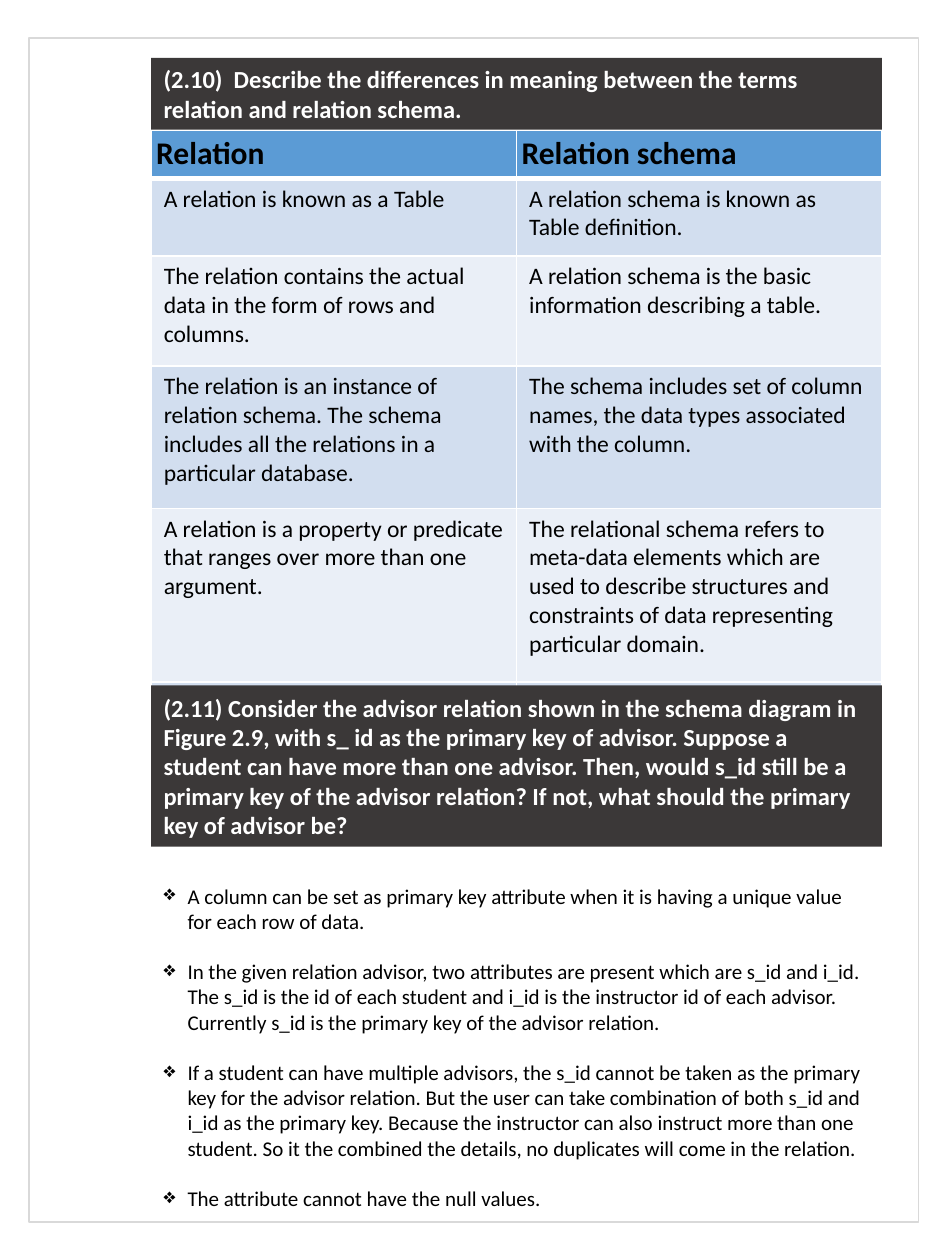
"""Build a study sheet page on relations, relation schemas and primary keys."""
from dataclasses import dataclass

from lxml import etree
from pptx import Presentation
from pptx.dml.color import RGBColor
from pptx.enum.shapes import MSO_SHAPE
from pptx.enum.text import MSO_ANCHOR, PP_ALIGN
from pptx.oxml.ns import qn
from pptx.slide import Slide
from pptx.table import _Cell
from pptx.text.text import _Paragraph
from pptx.util import Inches, Length, Pt

RECTANGLE = MSO_SHAPE.RECTANGLE
MIDDLE, TOP = MSO_ANCHOR.MIDDLE, MSO_ANCHOR.TOP
LEFT = PP_ALIGN.LEFT

WHITE = RGBColor(0xFF, 0xFF, 0xFF)
BLACK = RGBColor(0x00, 0x00, 0x00)
FRAME_GREY = RGBColor(0xD9, 0xD9, 0xD9)
BANNER_GREY = RGBColor(0x3B, 0x38, 0x38)
HEADER_BLUE = RGBColor(0x5B, 0x9B, 0xD5)
BAND_COLORS = (RGBColor(0xD2, 0xDE, 0xEF), RGBColor(0xEA, 0xEF, 0xF7))

FONT = "Calibri"
SLIDE_WIDTH, SLIDE_HEIGHT = Inches(7.5), Inches(10)
GRID_COLUMNS, GRID_ROWS = 75, 100
CONTENT_LEFT, CONTENT_WIDTH = 12, 58
BULLET_INDENT = Inches(0.19)
HEADER_MARGIN = Inches(0.04)


@dataclass(frozen=True)
class Area:
    """A rectangle measured in grid columns and rows."""

    column: float
    row: float
    columns: float
    rows: float

    def box(self) -> tuple[Length, Length, Length, Length]:
        """Return left, top, width and height on the slide."""
        return across(self.column), down(self.row), across(self.columns), down(self.rows)


@dataclass(frozen=True)
class Question:
    """A question shown on a dark banner."""

    text: str
    row: float
    rows: float


@dataclass(frozen=True)
class Comparison:
    """One table row that sets a relation against its schema."""

    relation: str = ""
    schema: str = ""
    rows: float = 3.7


QUESTIONS = (
    Question("(2.10)  Describe the differences in meaning between the terms "
             "relation and relation schema.", 4.6, 5.7),
    Question("(2.11) Consider the advisor relation shown in the schema diagram in Figure 2.9, "
             "with s_ id as the primary key of advisor. Suppose a student can have more than "
             "one advisor. Then, would s_id still be a primary key of the advisor relation? "
             "If not, what should the primary key of advisor be?", 54.4, 12.8),
)
COMPARISONS = (
    Comparison("Relation", "Relation schema", 3.8),
    Comparison("A relation is known as a Table",
               "A relation schema is known as Table definition.", 6.15),
    Comparison("The relation contains the actual data in the form of rows and columns.",
               "A relation schema is the basic information describing a table.", 8.75),
    Comparison("The relation is an instance of relation schema. The schema includes all "
               "the relations in a particular database.",
               "The schema includes set of column names, the data types associated "
               "with the column.", 11.3),
    Comparison("A relation is a property or predicate that ranges over more than one argument.",
               "The relational schema refers to meta-data elements which are used to describe "
               "structures and constraints of data representing particular domain.", 13.8),
    *[Comparison()] * 3,
)
ANSWERS = (
    "A column can be set as primary key attribute when it is having a unique value "
    "for each row of data.",
    "In the given relation advisor, two attributes are present which are s_id and i_id. "
    "The s_id is the id of each student and i_id is the instructor id of each advisor. "
    "Currently s_id is the primary key of the advisor relation.",
    "If a student can have multiple advisors, the s_id cannot be taken as the primary key "
    "for the advisor relation. But the user can take combination of both s_id and i_id as "
    "the primary key. Because the instructor can also instruct more than one student. "
    "So it the combined the details, no duplicates will come in the relation.",
    "The attribute cannot have the null values.",
)


def across(columns: float) -> Length:
    """Convert grid columns to a length."""
    return Length(round(SLIDE_WIDTH * columns / GRID_COLUMNS))


def down(rows: float) -> Length:
    """Convert grid rows to a length."""
    return Length(round(SLIDE_HEIGHT * rows / GRID_ROWS))


def add_run(paragraph: _Paragraph, text: str, size: float, color: RGBColor, bold: bool) -> None:
    """Add one left-aligned run of text."""
    paragraph.alignment = LEFT
    run = paragraph.add_run()
    run.text = text
    run.font.name, run.font.size, run.font.bold = FONT, Pt(size), bold
    run.font.color.rgb = color


def add_frame(slide: Slide, area: Area) -> None:
    """Draw the thin page border."""
    frame = slide.shapes.add_shape(RECTANGLE, *area.box())
    frame.shadow.inherit = False
    frame.fill.background()
    frame.line.color.rgb, frame.line.width = FRAME_GREY, Pt(1)


def add_banner(slide: Slide, question: Question) -> None:
    """Draw a question on its banner."""
    area = Area(CONTENT_LEFT, question.row, CONTENT_WIDTH, question.rows)
    banner = slide.shapes.add_shape(RECTANGLE, *area.box())
    banner.shadow.inherit = False
    banner.fill.solid()
    banner.fill.fore_color.rgb = BANNER_GREY
    banner.line.fill.background()
    banner.text_frame.word_wrap = True
    banner.text_frame.vertical_anchor = MIDDLE
    add_run(banner.text_frame.paragraphs[0], question.text, 14, WHITE, True)


def set_borders(cell: _Cell, bottom_width: float) -> None:
    """Give a cell white borders."""
    properties = cell._tc.get_or_add_tcPr()
    widths = {"a:lnL": 1, "a:lnR": 1, "a:lnT": 1, "a:lnB": bottom_width}
    for position, (side, width) in enumerate(widths.items()):
        border = etree.Element(qn(side), w=str(Pt(width)))
        fill = etree.SubElement(border, qn("a:solidFill"))
        etree.SubElement(fill, qn("a:srgbClr"), val=str(WHITE))
        properties.insert(position, border)


def fill_cell(cell: _Cell, text: str, row: int) -> None:
    """Write and style one cell of the comparison."""
    header = row == 0
    cell.fill.solid()
    cell.fill.fore_color.rgb = HEADER_BLUE if header else BAND_COLORS[(row - 1) % 2]
    cell.vertical_anchor = MIDDLE if header else TOP
    if header:
        cell.margin_left = cell.margin_right = HEADER_MARGIN
        cell.margin_top = cell.margin_bottom = HEADER_MARGIN
    set_borders(cell, 3 if header else 1)
    if text:
        add_run(cell.text_frame.paragraphs[0], text, 18 if header else 13.5, BLACK, header)


def add_comparison_table(slide: Slide, row: float) -> None:
    """Draw the table of relation against relation schema."""
    height = sum(comparison.rows for comparison in COMPARISONS)
    area = Area(CONTENT_LEFT, row, CONTENT_WIDTH, height)
    table = slide.shapes.add_table(len(COMPARISONS), 2, *area.box()).table
    for index, comparison in enumerate(COMPARISONS):
        table.rows[index].height = down(comparison.rows)
        for column, text in enumerate((comparison.relation, comparison.schema)):
            fill_cell(table.cell(index, column), text, index)


def add_answers(slide: Slide, area: Area) -> None:
    """Write the bulleted answer."""
    text_frame = slide.shapes.add_textbox(*area.box()).text_frame
    text_frame.word_wrap = True
    for index, answer in enumerate(ANSWERS):
        paragraph = text_frame.add_paragraph() if index else text_frame.paragraphs[0]
        add_run(paragraph, answer, 12, BLACK, False)
        paragraph.space_before = Pt(14.4 if index else 0)
        properties = paragraph._p.get_or_add_pPr()
        properties.set("marL", str(BULLET_INDENT))
        properties.set("indent", str(-BULLET_INDENT))
        etree.SubElement(properties, qn("a:buChar"), char="❖")


def main() -> None:
    """Build and save the page."""
    presentation = Presentation()
    presentation.slide_width, presentation.slide_height = SLIDE_WIDTH, SLIDE_HEIGHT
    slide = presentation.slides.add_slide(presentation.slide_layouts[6])
    add_frame(slide, Area(2.3, 3, 70.6, 94))
    add_comparison_table(slide, 10.3)
    for question in QUESTIONS:
        add_banner(slide, question)
    add_answers(slide, Area(CONTENT_LEFT, 69.6, CONTENT_WIDTH, 27.3))
    presentation.save("out.pptx")


if __name__ == "__main__":
    main()
